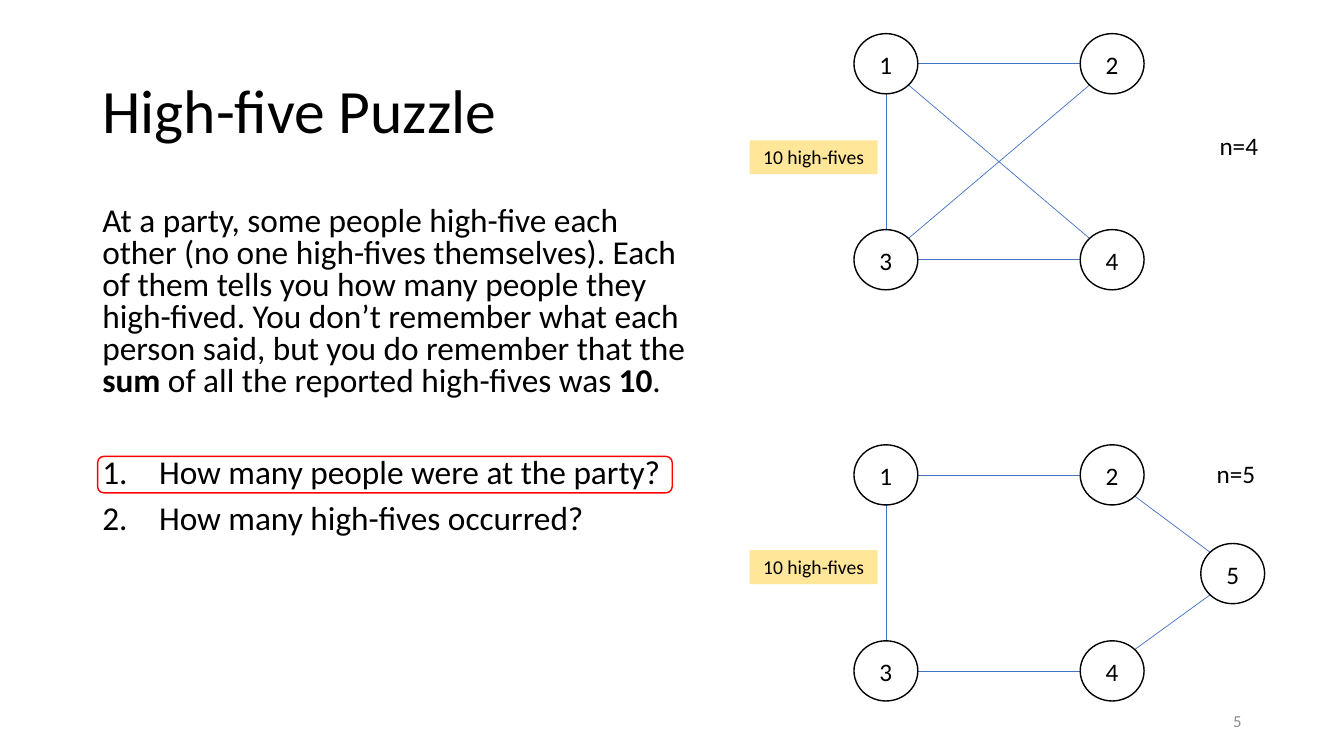
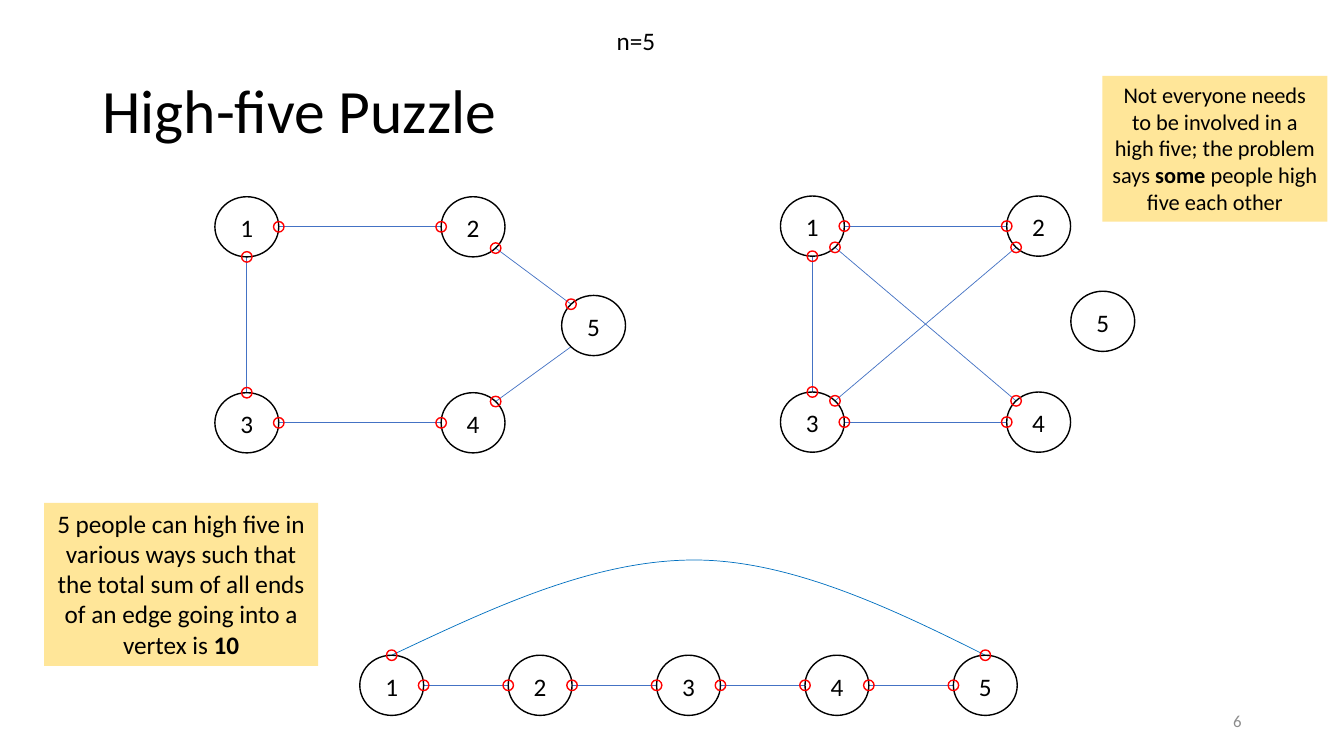
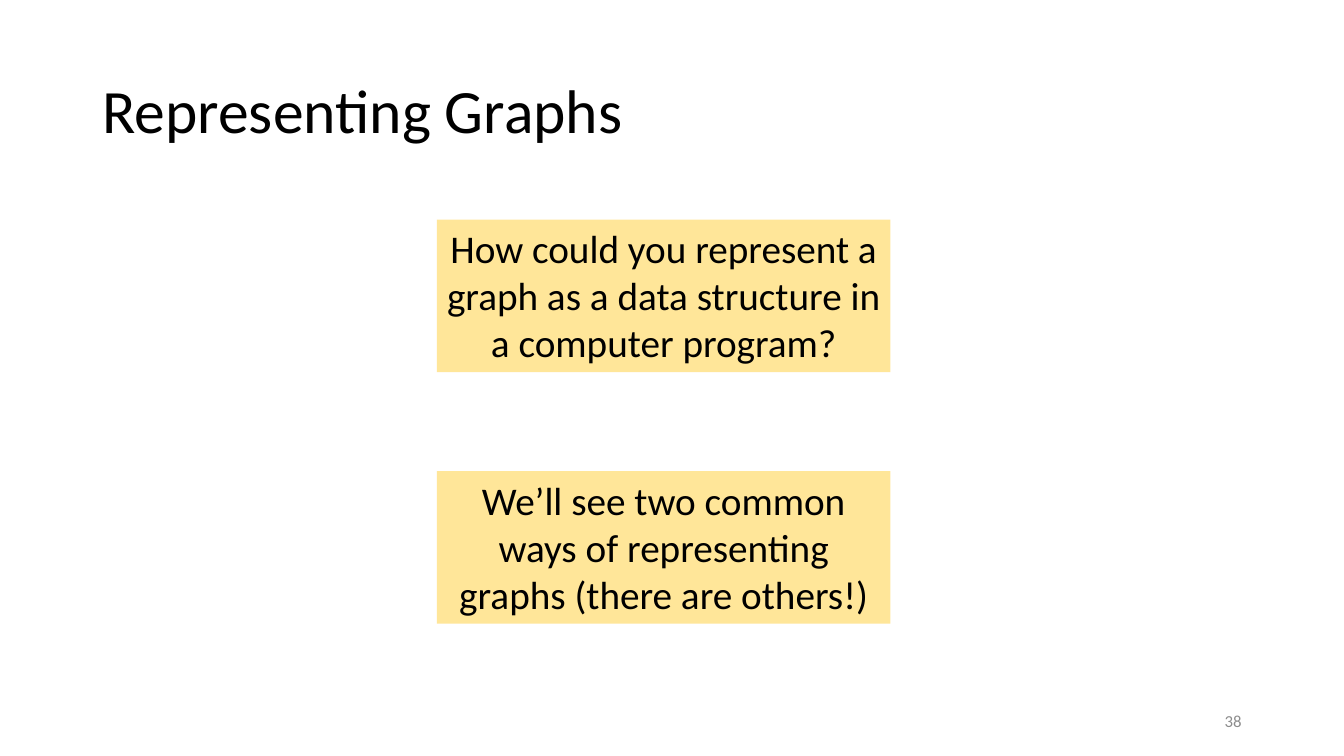
import math

from lxml import etree
from pptx import Presentation
from pptx.dml.color import RGBColor
from pptx.enum import shapes, text
from pptx.oxml.ns import qn
from pptx.util import Pt

BLACK = RGBColor(0, 0, 0)
GREY = RGBColor(0x8C, 0x8C, 0x8C)
YELLOW = RGBColor(0xFF, 0xE6, 0x99)
RED = RGBColor(0xFF, 0, 0)
EDGE_BLUE = RGBColor(0x44, 0x72, 0xC4)
ARC_BLUE = RGBColor(0, 0x70, 0xC0)
FONT = "Calibri"
LEFT, CENTER, RIGHT = text.PP_ALIGN.LEFT, text.PP_ALIGN.CENTER, text.PP_ALIGN.RIGHT
TOP, MIDDLE = text.MSO_ANCHOR.TOP, text.MSO_ANCHOR.MIDDLE
SHAPE = shapes.MSO_SHAPE

NODE_W, NODE_H = 45.6, 43
MARK = 7.5

# Node offsets inside each graph, and the pairs that high-five
SQUARE = {1: (0, 0), 2: (161.6, 0), 3: (0, 140), 4: (161.6, 140)}
HOUSE = {**SQUARE, 5: (247.7, 70.5)}
SQUARE_AND_LONER = {**SQUARE, 5: (207.4, 68)}
CHAIN = {n: (106 * (n - 1), 0) for n in range(1, 6)}
CROSSED_EDGES = [(1, 2), (3, 4), (1, 3), (2, 3), (1, 4)]
HOUSE_EDGES = [(1, 2), (3, 4), (1, 3), (2, 5), (4, 5)]
CHAIN_EDGES = [(1, 2), (2, 3), (3, 4), (4, 5)]

# **...** is bold; (text, numbered, space before)
PUZZLE = [
    ("At a party, some people high-five each other (no one high-fives themselves). "
     "Each of them tells you how many people they high-fived. You don’t remember "
     "what each person said, but you do remember that the **sum** of all the "
     "reported high-fives was **10**.", False, 0),
    ("How many people were at the party?", True, 43),
    ("How many high-fives occurred?", True, 10),
]

SLIDES = [
    dict(title="High-five Puzzle", number=5, puzzle=PUZZLE,
         graphs=[dict(at=(610, 24), nodes=SQUARE, edges=CROSSED_EDGES),
                 dict(at=(610, 317.7), nodes=HOUSE, edges=HOUSE_EDGES)],
         labels=[("n=4", 864, 89.3), ("n=5", 862, 324)],
         notes=[("10 high-fives", 14, (535.5, 100.3, 91.5, 24.2)),
                ("10 high-fives", 14, (535.5, 393, 91.5, 24.2))]),
    dict(title="High-five Puzzle", number=6,
         graphs=[dict(at=(153.5, 140.5), nodes=HOUSE, edges=HOUSE_EDGES,
                      marked=True, unmarked_ends=[(5, 4)]),
                 dict(at=(557.5, 140), nodes=SQUARE_AND_LONER,
                      edges=CROSSED_EDGES, marked=True),
                 dict(at=(257, 468), nodes=CHAIN, edges=CHAIN_EDGES,
                      marked=True, arc=(1, 5))],
         labels=[("n=5", 433.4, 14.4)],
         notes=[("5 people can high five in various ways such that the total sum of "
                 "all ends of an edge going into a vertex is **10**", 18,
                 (31.5, 359.3, 195.8, 116.4)),
                ("Not everyone needs to be involved in a high five; the problem says "
                 "**some** people high five each other", 16,
                 (787.5, 54.2, 160.6, 104.2))]),
    dict(title="Representing Graphs", number=38,
         notes=[("How could you represent a graph as a data structure in a computer "
                 "program?", 28, (312, 156.8, 324, 109)),
                ("We’ll see two common ways of representing graphs (there are "
                 "others!)", 28, (312, 336.5, 324, 109))]),
]


def points(values):
    return [Pt(v) for v in values]


def write(p, words, size, color=BLACK, **layout):
    """Fill a paragraph, setting **marked** words bold."""
    for name, value in layout.items():
        setattr(p, name, value)
    for i, part in enumerate(words.split("**")):
        if part:
            r = p.add_run()
            r.text = part
            look = dict(name=FONT, size=Pt(size), bold=i % 2 == 1)
            for name, value in look.items():
                setattr(r.font, name, value)
            r.font.color.rgb = color


def add_text(s, box, words, size, color=BLACK, anchor=TOP, wrap=True, **layout):
    tf = s.shapes.add_textbox(*points(box)).text_frame
    tf.word_wrap, tf.vertical_anchor = wrap, anchor
    write(tf.paragraphs[0], words, size, color, **layout)


def add_shape(s, kind, box, fill=None, line=None):
    sp = s.shapes.add_shape(kind, *points(box))
    style(sp, fill, line)
    return sp


def style(sp, fill, line, width=1):
    sp.shadow.inherit = False
    for part, color in ((sp.fill, fill), (sp.line.fill, line)):
        if color is None:
            part.background()
        else:
            part.solid()
            part.fore_color.rgb = color
    if line is not None:
        sp.line.width = Pt(width)


def add_note(s, words, size, box):
    tf = add_shape(s, SHAPE.RECTANGLE, box, YELLOW).text_frame
    tf.word_wrap, tf.vertical_anchor = True, TOP
    write(tf.paragraphs[0], words, size, alignment=CENTER)


def add_edge(s, start, end):
    c = s.shapes.add_connector(shapes.MSO_CONNECTOR.STRAIGHT, *points(start + end))
    c.line.color.rgb = EDGE_BLUE
    c.line.width = Pt(0.5)
    etree.SubElement(c.element.spPr, qn("a:effectLst"))


def add_arc(s, start, end):
    """Curve over the chain: two cubic pieces meeting at the crown."""
    (x0, y0), (x1, _) = start, end
    rise, span = 68, x1 - x0
    curve = [(0.17, 0.5), (0.34, 1), (0.51, 1), (0.67, 1), (0.84, 0.5), (1, 0)]
    fb = s.shapes.build_freeform(Pt(x0), Pt(y0))
    fb.add_line_segments([points((x0 + span * u, y0 - rise * v)) for u, v in curve],
                         close=False)
    sp = fb.convert_to_shape()
    style(sp, None, ARC_BLUE, 0.5)
    outline = next(sp.element.iter(qn("a:path")))
    corners = outline.findall(qn("a:lnTo"))
    for i in range(0, len(corners), 3):
        bezier = etree.SubElement(outline, qn("a:cubicBezTo"))
        for corner in corners[i:i + 3]:
            bezier.append(corner[0])
            outline.remove(corner)


def rim(center, target):
    """Point on a node's rim, at the multiple of 45 degrees nearest the target."""
    (x, y), (tx, ty) = center, target
    eighth = math.pi / 4
    angle = round(math.atan2(ty - y, tx - x) / eighth) * eighth
    return x + NODE_W / 2 * math.cos(angle), y + NODE_H / 2 * math.sin(angle)


def add_graph(s, at, nodes, edges, marked=False, unmarked_ends=(), arc=None):
    centers = {n: (at[0] + dx + NODE_W / 2, at[1] + dy + NODE_H / 2)
               for n, (dx, dy) in nodes.items()}
    ends = []
    for a, b in edges:
        start, end = rim(centers[a], centers[b]), rim(centers[b], centers[a])
        add_edge(s, start, end)
        ends += [((a, b), start), ((b, a), end)]
    if arc:
        tops = [(centers[n][0], at[1]) for n in arc]
        add_arc(s, *tops)
        ends += zip((arc, arc[::-1]), tops)
    for n, (x, y) in centers.items():
        sp = add_shape(s, SHAPE.OVAL, (x - NODE_W / 2, y - NODE_H / 2, NODE_W, NODE_H),
                       line=BLACK)
        tf = sp.text_frame
        tf.margin_left = tf.margin_right = tf.margin_bottom = 0
        tf.margin_top = Pt(1)
        tf.vertical_anchor = MIDDLE
        write(tf.paragraphs[0], str(n), 18, alignment=CENTER)
    for key, (x, y) in ends:
        if marked and key not in unmarked_ends:
            add_shape(s, SHAPE.OVAL, (x - MARK / 2, y - MARK / 2, MARK, MARK), line=RED)


def add_puzzle(s, paragraphs):
    tf = s.shapes.add_textbox(*points((66, 144, 436.5, 275))).text_frame
    tf.word_wrap = True
    for i, (words, numbered, before) in enumerate(paragraphs):
        p = tf.add_paragraph() if i else tf.paragraphs[0]
        if numbered:
            pPr = p._p.get_or_add_pPr()
            pPr.set("marL", str(Pt(40.5)))
            pPr.set("indent", str(-Pt(40.5)))
            etree.SubElement(pPr, qn("a:buFont"), typeface="+mj-lt")
            etree.SubElement(pPr, qn("a:buAutoNum"), type="arabicPeriod")
        write(p, words, 23.8, line_spacing=0.8, space_before=Pt(before))
    add_shape(s, SHAPE.ROUNDED_RECTANGLE, (69.8, 326, 410.4, 26), line=RED)


def add_slide(prs, title, number, graphs=(), labels=(), notes=(), puzzle=None):
    s = prs.slides.add_slide(prs.slide_layouts[6])
    add_text(s, (66, 28.8, 469.5, 104.4), title, 44, anchor=MIDDLE, line_spacing=0.9)
    add_text(s, (678, 500.5, 216, 28.8), str(number), 12, GREY, MIDDLE, alignment=RIGHT)
    for graph in graphs:
        add_graph(s, **graph)
    if puzzle:
        add_puzzle(s, puzzle)
    for words, x, y in labels:
        add_text(s, (x, y, 42.5, 28.8), words, 18, wrap=False, alignment=LEFT)
    for note in notes:
        add_note(s, *note)


def main():
    prs = Presentation()
    prs.slide_width, prs.slide_height = Pt(960), Pt(540)
    for content in SLIDES:
        add_slide(prs, **content)
    prs.save("out.pptx")


if __name__ == "__main__":
    main()
